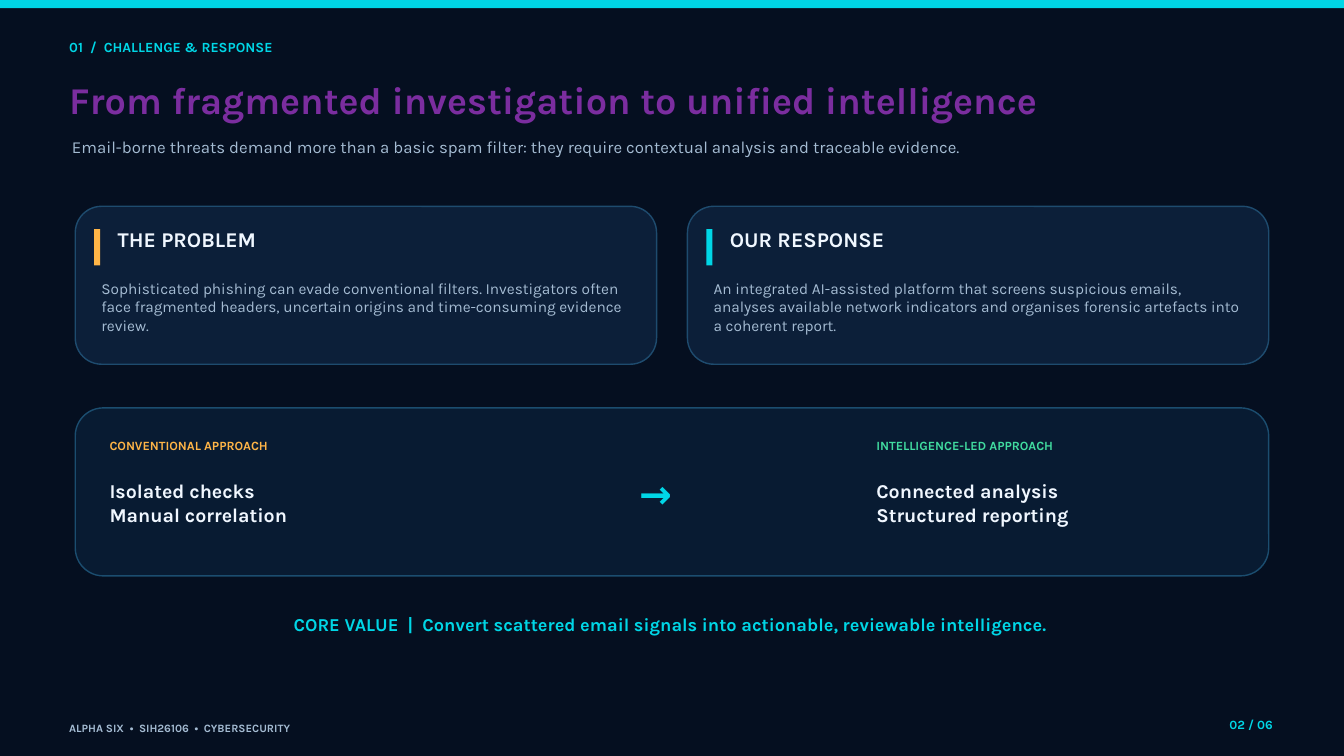
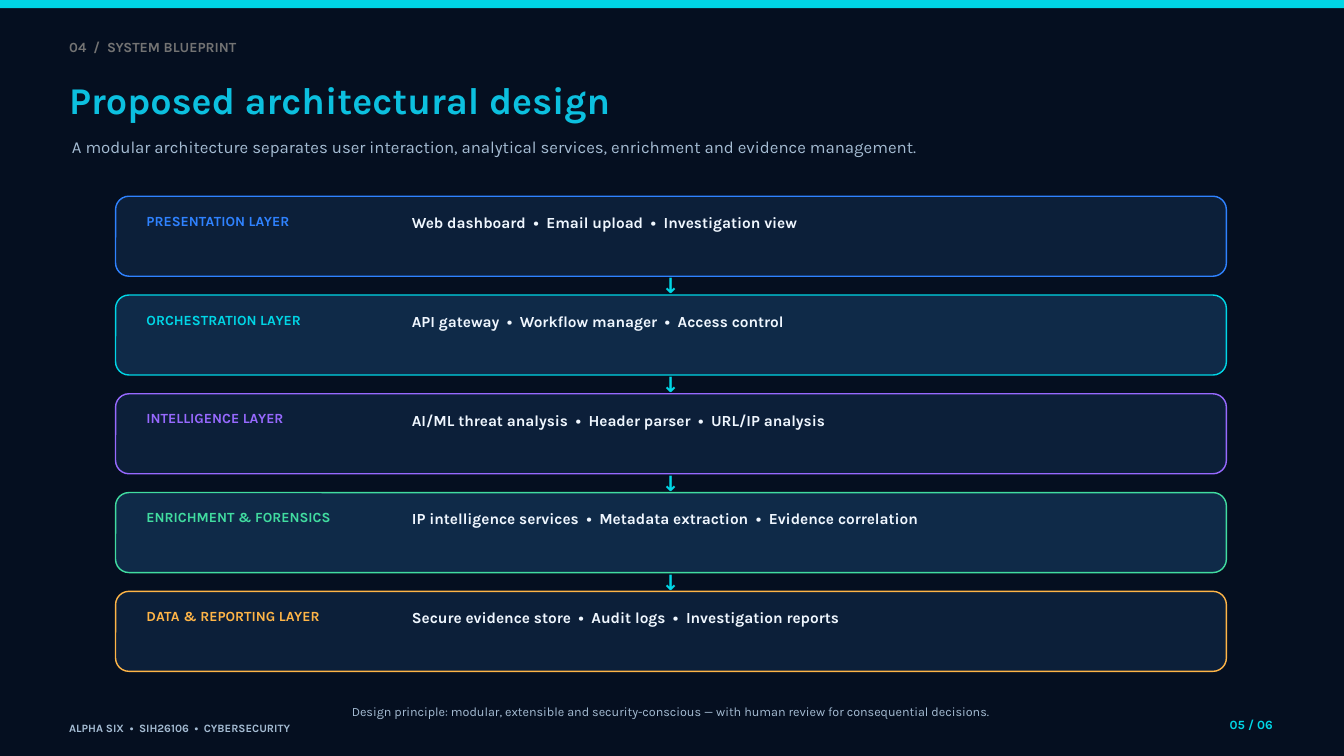
import pptx
import pptx.util
import pptx.dml.color
import pptx.enum.shapes
import pptx.enum.text

Inches = pptx.util.Inches
Pt = pptx.util.Pt
RGBColor = pptx.dml.color.RGBColor
Shape = pptx.enum.shapes.MSO_SHAPE
Align = pptx.enum.text.PP_ALIGN

FONT = "Karla"
NIGHT = RGBColor(0x05, 0x0F, 0x20)
PANEL = RGBColor(0x0C, 0x1F, 0x39)
RAISED = RGBColor(0x0F, 0x2A, 0x48)
DEEP = RGBColor(0x08, 0x1B, 0x32)
EDGE = RGBColor(0x1E, 0x4B, 0x6E)
RIM = RGBColor(0x1B, 0x4D, 0x6F)
CYAN = RGBColor(0x00, 0xD6, 0xE6)
AMBER = RGBColor(0xFF, 0xB5, 0x47)
GREEN = RGBColor(0x41, 0xDC, 0xA0)
BLUE = RGBColor(0x2F, 0x82, 0xFF)
VIOLET = RGBColor(0x97, 0x69, 0xFF)
WHITE = RGBColor(0xF0, 0xF7, 0xFF)
MIST = RGBColor(0xA5, 0xBC, 0xD3)
GREY = RGBColor(0x73, 0x73, 0x73)
PURPLE = RGBColor(0x7B, 0x2D, 0x9F)
YELLOW = RGBColor(0xFD, 0xD8, 0x2E)
AQUA = RGBColor(0x0C, 0xC0, 0xDF)
LEMON = RGBColor(0xFF, 0xDE, 0x59)


def add_text(slide, text, left, top, width, height, size=16.5, lead=19.8,
             color=WHITE, bold=True, align=None, blend=None):
    box = slide.shapes.add_textbox(
        Inches(left), Inches(top), Inches(width), Inches(height))
    frame = box.text_frame
    frame.word_wrap = True
    frame.auto_size = pptx.enum.text.MSO_AUTO_SIZE.SHAPE_TO_FIT_TEXT
    frame.margin_left = frame.margin_right = 0
    frame.margin_top = frame.margin_bottom = 0
    for index, line in enumerate(text.split("\n")):
        para = frame.add_paragraph() if index else frame.paragraphs[0]
        para.alignment = align
        para.line_spacing = Pt(lead)
        run = para.add_run()
        run.text = line
        font = run.font
        font.name, font.size, font.bold = FONT, Pt(size), bold
        if blend:
            first, last, angle = blend
            font.fill.gradient()
            font.fill.gradient_angle = angle
            stops = font.fill.gradient_stops
            stops[0].color.rgb = first
            stops[1].color.rgb = last
        else:
            font.color.rgb = color


def add_box(slide, kind, left, top, width, height, fill, edge=None):
    box = slide.shapes.add_shape(
        kind, Inches(left), Inches(top), Inches(width), Inches(height))
    box.shadow.inherit = False
    box.fill.solid()
    box.fill.fore_color.rgb = fill
    if edge is None:
        box.line.fill.background()
    else:
        box.line.color.rgb = edge
        box.line.width = Pt(1.5)


def add_page(deck, label, title, intro, number, blend, tint):
    slide = deck.slides.add_slide(deck.slide_layouts[6])
    slide.background.fill.solid()
    slide.background.fill.fore_color.rgb = NIGHT
    add_box(slide, Shape.RECTANGLE, 0, 0, 20, 0.12, CYAN)
    add_text(slide, label, 1.03, 0.58, 17.76, 0.25, size=15, lead=18, color=tint)
    add_text(slide, title, 1.03, 1.14, 17.91, 0.72, size=40.5, lead=48.6, blend=blend)
    add_text(slide, intro, 1.07, 2.03, 17.61, 0.53, size=18, lead=21.6,
             color=MIST, bold=False)
    add_text(slide, "ALPHA SIX  •  SIH26106  •  CYBERSECURITY", 1.03, 10.74, 11.91, 0.2,
             size=12, lead=14.4, color=MIST)
    add_text(slide, f"{number:02} / 06", 18.21, 10.67, 0.73, 0.29, size=13.5, lead=16.2,
             color=CYAN, align=Align.RIGHT)
    return slide


def add_card(slide, left, top, title, body, accent):
    add_box(slide, Shape.ROUNDED_RECTANGLE, left, top, 8.65, 2.35, PANEL, EDGE)
    add_box(slide, Shape.RECTANGLE, left + 0.28, top + 0.34, 0.09, 0.54, accent)
    add_text(slide, title, left + 0.63, top + 0.3, 7.69, 0.47, size=22.5, lead=27)
    add_text(slide, body, left + 0.39, top + 1.08, 7.87, 1, color=MIST, bold=False)


def add_shift(slide, left, top, sides):
    add_box(slide, Shape.ROUNDED_RECTANGLE, left, top, 17.76, 2.5, DEEP, RIM)
    for shift, label, points, color in sides:
        add_text(slide, label, left + shift, top + 0.45, 4.55, 0.33,
                 size=13.5, lead=16.2, color=color)
        add_text(slide, points, left + shift, top + 1.06, 4.85, 0.89, size=21, lead=25.2)
    add_text(slide, "→", left + 6.51, top + 0.92, 4.25, 0.65, size=42, lead=50.4,
             color=CYAN, align=Align.CENTER)


def add_layer(slide, left, top, name, parts, color, fill):
    add_box(slide, Shape.ROUNDED_RECTANGLE, left, top, 16.53, 1.19, fill, color)
    add_text(slide, name, left + 0.46, top + 0.24, 3.73, 0.26, size=15, lead=18, color=color)
    add_text(slide, "  •  ".join(parts), left + 4.41, top + 0.25, 11.46, 0.35)


def add_stack(slide, left, top, layers):
    for index, (name, parts, color) in enumerate(layers):
        level = top + index * 1.47
        add_layer(slide, left, level, name, parts, color, RAISED if index % 2 else PANEL)
        if index < len(layers) - 1:
            add_text(slide, "↓", left + 7.56, level + 1.14, 1.4, 0.28, size=22.5, lead=27,
                     color=CYAN, align=Align.CENTER)


def build_response(deck):
    slide = add_page(
        deck, "01  /  CHALLENGE & RESPONSE",
        "From fragmented investigation to unified intelligence",
        "Email-borne threats demand more than a basic spam filter: they require "
        "contextual analysis and traceable evidence.",
        2, (PURPLE, YELLOW, 270), CYAN)
    cards = [
        ("THE PROBLEM",
         "Sophisticated phishing can evade conventional filters. Investigators often face "
         "fragmented headers, uncertain origins and time-consuming evidence review.", AMBER),
        ("OUR RESPONSE",
         "An integrated AI-assisted platform that screens suspicious emails, analyses "
         "available network indicators and organises forensic artefacts into a coherent "
         "report.", CYAN),
    ]
    for index, card in enumerate(cards):
        add_card(slide, 1.12 + index * 9.11, 3.07, *card)
    add_shift(slide, 1.12, 6.07, [
        (0.51, "CONVENTIONAL APPROACH", "Isolated checks\nManual correlation", AMBER),
        (11.92, "INTELLIGENCE-LED APPROACH", "Connected analysis\nStructured reporting", GREEN),
    ])
    add_text(slide, "CORE VALUE  |  Convert scattered email signals into actionable, "
             "reviewable intelligence.", 1.4, 9.13, 17.16, 0.58,
             size=19.5, lead=23.4, color=CYAN, align=Align.CENTER)


def build_design(deck):
    slide = add_page(
        deck, "04  /  SYSTEM BLUEPRINT", "Proposed architectural design",
        "A modular architecture separates user interaction, analytical services, "
        "enrichment and evidence management.",
        5, (AQUA, LEMON, 0), GREY)
    add_stack(slide, 1.72, 2.92, [
        ("PRESENTATION LAYER",
         ["Web dashboard", "Email upload", "Investigation view"], BLUE),
        ("ORCHESTRATION LAYER",
         ["API gateway", "Workflow manager", "Access control"], CYAN),
        ("INTELLIGENCE LAYER",
         ["AI/ML threat analysis", "Header parser", "URL/IP analysis"], VIOLET),
        ("ENRICHMENT & FORENSICS",
         ["IP intelligence services", "Metadata extraction", "Evidence correlation"], GREEN),
        ("DATA & REPORTING LAYER",
         ["Secure evidence store", "Audit logs", "Investigation reports"], AMBER),
    ])
    add_text(slide, "Design principle: modular, extensible and security-conscious — with "
             "human review for consequential decisions.", 1.85, 10.47, 16.26, 0.21,
             size=13.5, lead=16.2, color=MIST, bold=False, align=Align.CENTER)


def main():
    deck = pptx.Presentation()
    deck.slide_width, deck.slide_height = Inches(20), Inches(11.25)
    build_response(deck)
    build_design(deck)
    deck.save("out.pptx")


if __name__ == "__main__":
    main()
